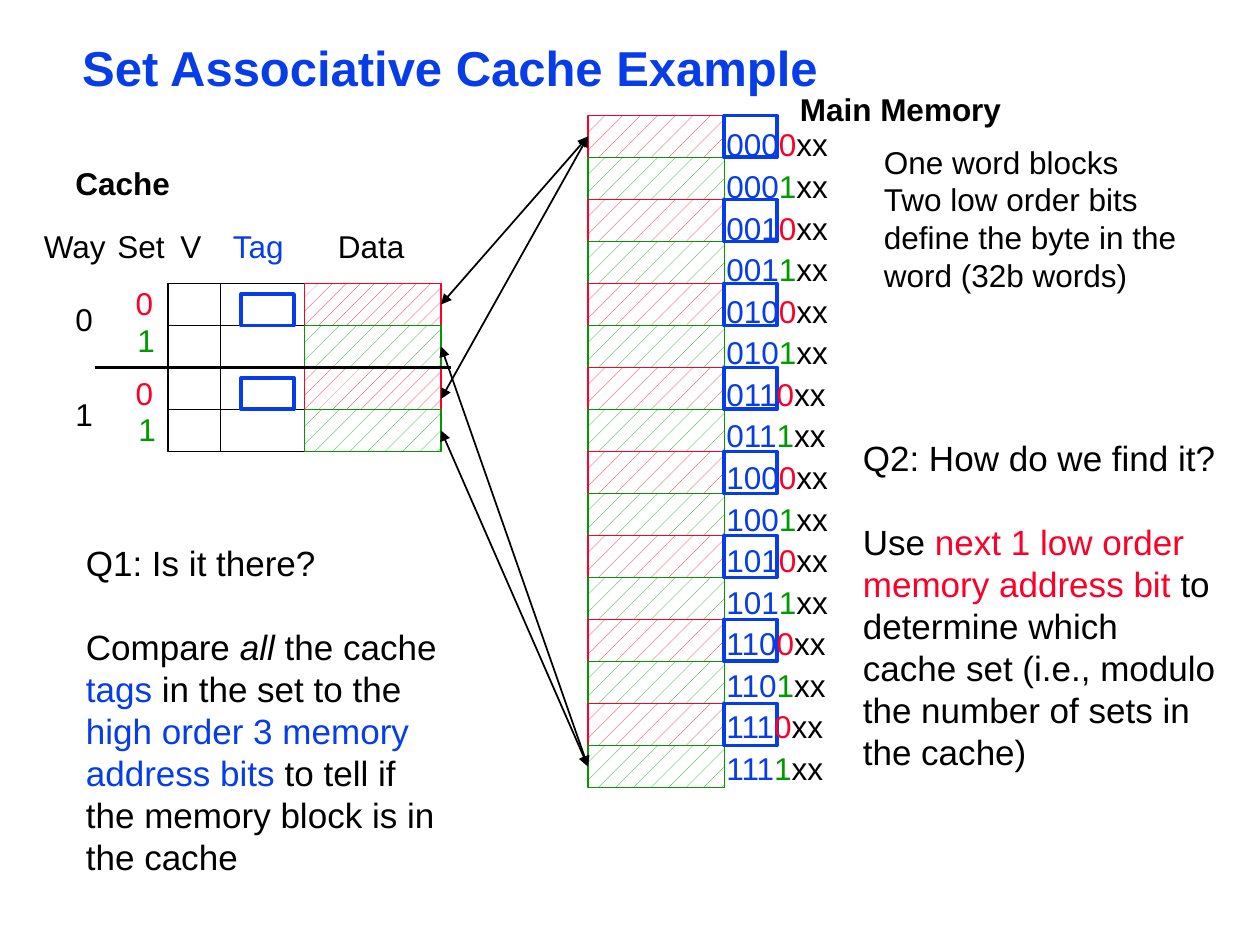
from lxml.etree import SubElement
from pptx import Presentation
from pptx.dml.color import RGBColor
from pptx.enum.dml import MSO_PATTERN
from pptx.enum.shapes import MSO_CONNECTOR, MSO_SHAPE
from pptx.enum.text import MSO_ANCHOR, MSO_AUTO_SIZE, PP_ALIGN
from pptx.oxml.ns import qn
from pptx.util import Pt

BLACK, BLUE, RED, GREEN = "000000", "063DE8", "FC0128", "009900"
SET_COLORS = [RED, GREEN]
rgb = RGBColor.from_string

ROW = 24
DATA_WIDTH = 78
CACHE_LEFT, CACHE_TOP, CACHE_ROWS = 174, 162, 4
MEMORY_LEFT, MEMORY_TOP, MEMORY_ROWS = 336, 66, 16

deck = Presentation()
deck.slide_width, deck.slide_height = Pt(720), Pt(540)
page = deck.slides.add_slide(deck.slide_layouts[5])


def write(frame, paragraphs, size=18, color=BLACK, bold=False, wrap=False,
          spacing=None, gap=0):
    """Fill a frame; a paragraph is a string or a list of (text, format) spans."""
    frame.word_wrap = wrap
    frame.auto_size = MSO_AUTO_SIZE.SHAPE_TO_FIT_TEXT
    frame.vertical_anchor = MSO_ANCHOR.TOP
    for index, spans in enumerate(paragraphs):
        para = frame.add_paragraph() if index else frame.paragraphs[0]
        para.alignment = PP_ALIGN.LEFT
        para.line_spacing = spacing
        if index:
            para.space_before = Pt(gap)
        if isinstance(spans, str):
            spans = [(spans, color)]
        for text, style in spans:
            span = para.add_run()
            span.text = text
            span.font.name = "Arial"
            span.font.size = Pt(size)
            span.font.bold = bold
            span.font.italic = style == "italic"
            span.font.color.rgb = rgb(color if style == "italic" else style)


def draw_line(x1, y1, x2, y2, width=1, arrows=False):
    line = page.shapes.add_connector(
        MSO_CONNECTOR.STRAIGHT, Pt(x1), Pt(y1), Pt(x2), Pt(y2))
    line.line.color.rgb = rgb(BLACK)
    line.line.width = Pt(width)
    if arrows:
        outline = line.line._get_or_add_ln()
        for end in ("a:headEnd", "a:tailEnd"):
            SubElement(outline, qn(end), type="triangle")
    SubElement(line._element.spPr, qn("a:effectLst"))
    return line


# Title
title = page.shapes.title
title.left, title.top, title.width, title.height = Pt(42), Pt(23.5), Pt(642), Pt(33)
frame = title.text_frame
frame.margin_left = frame.margin_right = Pt(5)
frame.margin_top = frame.margin_bottom = Pt(2.5)
write(frame, ["Set Associative Cache Example"], size=28, color=BLUE, bold=True,
      wrap=True, spacing=0.87)

# Row rules of the cache and the memory
for row in range(1, CACHE_ROWS):
    y = CACHE_TOP + row * ROW
    draw_line(96, y, CACHE_LEFT + DATA_WIDTH, y)
for row in range(MEMORY_ROWS + 1):
    y = MEMORY_TOP + row * ROW
    draw_line(MEMORY_LEFT, y, MEMORY_LEFT + DATA_WIDTH, y)

# Rectangles: name, left, top, width, height, line colour, line width, pattern
blocks = [
    ("valid", 96, CACHE_TOP, 30, CACHE_ROWS * ROW, BLACK, 1, None),
    ("tag", 126, CACHE_TOP, 48, CACHE_ROWS * ROW, BLACK, 1, None),
]
for row in range(CACHE_ROWS):
    pattern = MSO_PATTERN.PERCENT_5 if row % 2 else MSO_PATTERN.PERCENT_10
    blocks.append((("cache", row), CACHE_LEFT, CACHE_TOP + row * ROW, DATA_WIDTH,
                   ROW, SET_COLORS[row % 2], 1, pattern))
for row in range(MEMORY_ROWS):
    blocks.append((("memory", row), MEMORY_LEFT, MEMORY_TOP + row * ROW, DATA_WIDTH,
                   ROW, SET_COLORS[row % 2], 1, MSO_PATTERN.PERCENT_5))
for row in range(0, MEMORY_ROWS, 2):
    blocks.append((("address tag", row), MEMORY_LEFT + DATA_WIDTH,
                   MEMORY_TOP + row * ROW, 30, ROW, BLUE, 2.25, None))
for row in range(0, CACHE_ROWS, 2):
    blocks.append((("cache tag", row), 138, CACHE_TOP + 6 + row * ROW, 30, 18,
                   BLUE, 2.25, None))

cells = {}
for name, left, top, width, height, color, weight, pattern in blocks:
    cell = page.shapes.add_shape(
        MSO_SHAPE.RECTANGLE, Pt(left), Pt(top), Pt(width), Pt(height))
    cell.shadow.inherit = False
    cell.line.color.rgb = rgb(color)
    cell.line.width = Pt(weight)
    if pattern:
        cell.fill.patterned()
        cell.fill.pattern = pattern
        cell.fill.fore_color.rgb = rgb(color)
        cell.fill.back_color.rgb = rgb("FFFFFF")
    else:
        cell.fill.background()
    cells[name] = cell

# Arrows from memory blocks to the cache rows of their set
for memory_row, cache_row, end_y in [(0, 0, 174), (0, 2, 228), (15, 3, 246), (15, 1, 198)]:
    arrow = draw_line(MEMORY_LEFT, MEMORY_TOP + (memory_row + 0.5) * ROW,
                      CACHE_LEFT + DATA_WIDTH, end_y, arrows=True)
    arrow.begin_connect(cells["memory", memory_row], 1)
    if end_y == CACHE_TOP + (cache_row + 0.5) * ROW:
        arrow.end_connect(cells["cache", cache_row], 3)

# Divider between the two ways
draw_line(54, 210, 258, 210, width=2.25)

# Labels: text, left, top, width, format
labels = [
    ("Cache", 36, 90, 70, {"bold": True}),
    ("Main Memory", 450, 48, 131, {"bold": True}),
    ("Way", 18, 126, 51, {}),
    ("Set", 60, 126, 43, {}),
    ("V", 96, 126, 27, {}),
    ("Tag", 126, 126, 46, {"color": BLUE}),
    ("Data", 186, 126, 54, {}),
    ("0", 70.5, 159, 25, {"color": RED}),
    ("1", 71.5, 180, 25, {"color": GREEN}),
    ("0", 70.5, 210, 25, {"color": RED}),
    ("1", 72, 231, 25, {"color": GREEN}),
    ("0", 36, 168, 25, {}),
    ("1", 36, 222, 25, {}),
]
for text, left, top, width, style in labels:
    box = page.shapes.add_textbox(Pt(left), Pt(top), Pt(width), Pt(29))
    write(box.text_frame, [text], **style)

# Longer texts: paragraphs, left, top, width, height, format
addresses = [
    [(f"{row // 2:03b}", BLUE), (str(row % 2), SET_COLORS[row % 2]), ("xx", BLACK)]
    for row in range(MEMORY_ROWS)
]
block_note = [
    "One word blocks",
    "Two low order bits define the byte in the word (32b words)",
]
find_question = [
    "Q2: How do we find it?",
    [("Use", BLACK), (" next 1 low order memory address bit", RED),
     (" to determine which cache set (i.e., modulo the number of sets in the cache)",
      BLACK)],
]
match_question = [
    "Q1: Is it there?",
    [("Compare ", BLACK), ("all", "italic"), (" the cache ", BLACK), ("tags", BLUE),
     (" in the set to the ", BLACK), ("high order 3 memory address bits", BLUE),
     (" to tell if the memory block is in the cache", BLACK)],
]
question = {"size": 20, "gap": 24}
for paragraphs, left, top, width, height, style in [
    (addresses, 408, 66, 78, 391, {"spacing": 1.1}),
    (block_note, 498, 78, 192, 94, {}),
    (find_question, 486, 246, 216, 199, question),
    (match_question, 42, 306, 222, 199, question),
]:
    box = page.shapes.add_textbox(Pt(left), Pt(top), Pt(width), Pt(height))
    write(box.text_frame, paragraphs, wrap=True, **style)

deck.save("out.pptx")
